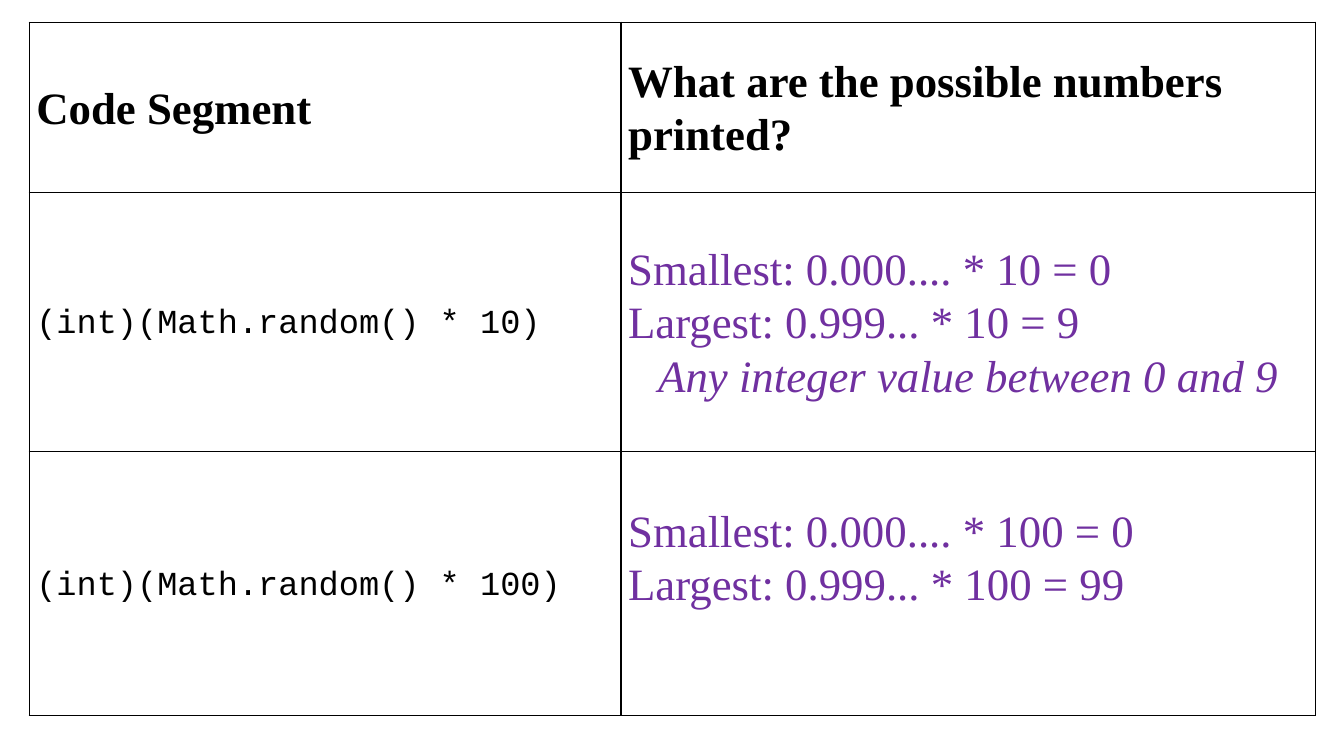
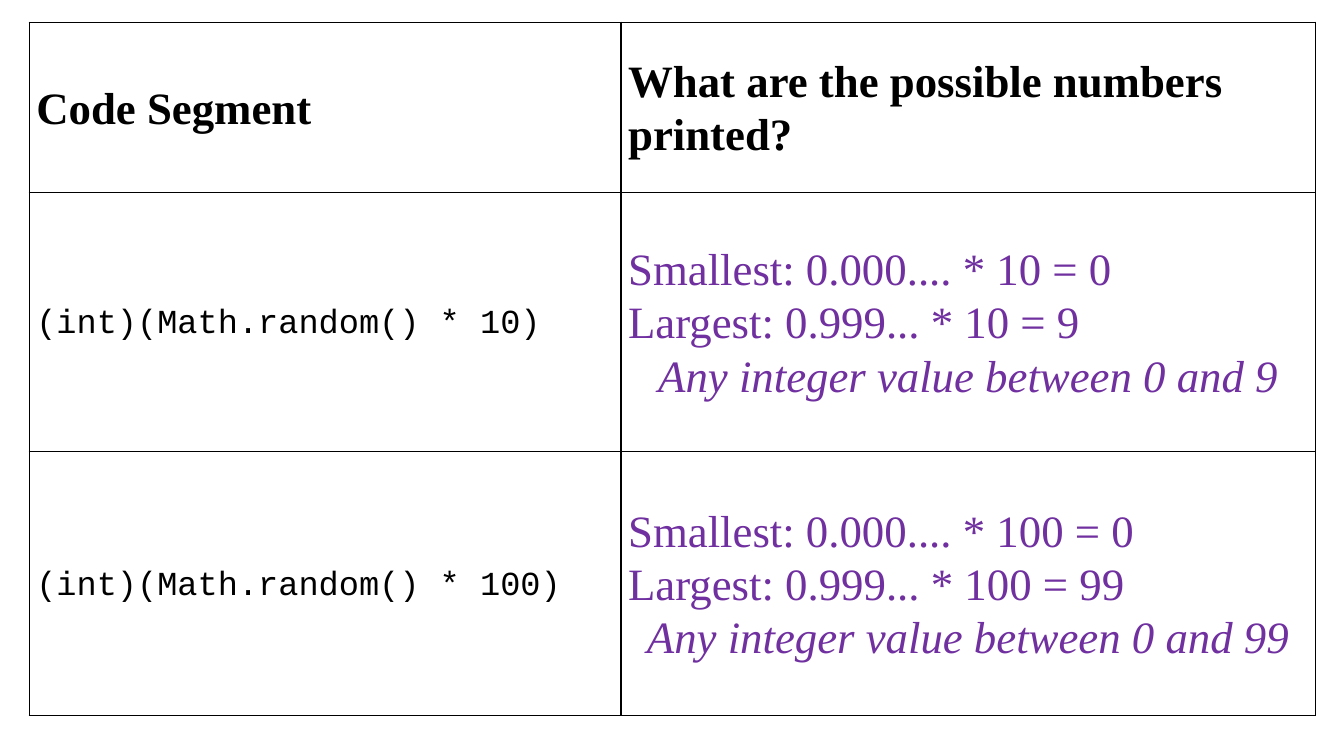
from dataclasses import dataclass

from lxml.etree import SubElement
from pptx import Presentation
from pptx.dml.color import RGBColor
from pptx.enum.text import MSO_ANCHOR, PP_ALIGN
from pptx.oxml.ns import qn
from pptx.slide import Slide
from pptx.table import _Cell
from pptx.util import Inches, Pt

# Shared look
BLACK = RGBColor(0x00, 0x00, 0x00)
PURPLE = RGBColor(0x70, 0x30, 0xA0)
WHITE = RGBColor(0xFF, 0xFF, 0xFF)
SERIF = "Times New Roman"
MONOSPACE = "Courier New"

TABLE_LEFT, TABLE_TOP = 0.29, 0.22
COLUMN_WIDTHS = (5.87, 6.89)
ROW_HEIGHTS = (1.69, 2.57, 2.62)
ANSWER_LINE_HEIGHT = 0.53
BORDER_WIDTH = Pt(1)


@dataclass(frozen=True)
class TextStyle:
    font: dict
    color: RGBColor = BLACK
    line_spacing: float = 1.07
    alignment: PP_ALIGN = PP_ALIGN.LEFT


HEADING = TextStyle({"name": SERIF, "size": Pt(32), "bold": True})
CODE = TextStyle({"name": MONOSPACE, "size": Pt(24), "bold": False}, line_spacing=1.15)
ANSWER = TextStyle({"name": SERIF, "size": Pt(32), "bold": False}, PURPLE)
SUMMARY = TextStyle({**ANSWER.font, "italic": True}, PURPLE, alignment=PP_ALIGN.CENTER)


@dataclass(frozen=True)
class Line:
    text: str
    style: TextStyle


@dataclass(frozen=True)
class Question:
    factor: int
    show_summary: bool = True

    def code(self) -> list[Line]:
        return [Line(f"(int)(Math.random() * {self.factor})", CODE)]

    def answer(self) -> list[Line]:
        largest = self.factor - 1
        lines = [
            Line(f"Smallest: 0.000.... * {self.factor} = 0", ANSWER),
            Line(f"Largest: 0.999... * {self.factor} = {largest}", ANSWER),
        ]
        if self.show_summary:
            lines.append(Line(f"Any integer value between 0 and {largest}", SUMMARY))
        return lines


# Table parts
def add_borders(cell: _Cell) -> None:
    properties = cell._tc.get_or_add_tcPr()
    for index, side in enumerate(("lnL", "lnR", "lnT", "lnB")):
        border = SubElement(properties, qn(f"a:{side}"), w=str(BORDER_WIDTH))
        fill = SubElement(border, qn("a:solidFill"))
        SubElement(fill, qn("a:srgbClr"), val=str(BLACK))
        properties.insert(index, border)


def fill_cell(cell: _Cell, lines: list[Line], reserved: float = 0) -> None:
    """Write the lines, keeping the reserved height free below them."""
    cell_format = {
        "vertical_anchor": MSO_ANCHOR.MIDDLE,
        "margin_left": Inches(0.07),
        "margin_right": Inches(0.07),
        "margin_top": Inches(0),
        "margin_bottom": Inches(reserved),
    }
    for name, value in cell_format.items():
        setattr(cell, name, value)
    cell.fill.solid()
    cell.fill.fore_color.rgb = WHITE
    add_borders(cell)

    for index, line in enumerate(lines):
        frame = cell.text_frame
        paragraph = frame.add_paragraph() if index else frame.paragraphs[0]
        paragraph.alignment = line.style.alignment
        paragraph.line_spacing = line.style.line_spacing
        run = paragraph.add_run()
        run.text = line.text
        for name, value in line.style.font.items():
            setattr(run.font, name, value)
        run.font.color.rgb = line.style.color


def add_question_table(slide: Slide, questions: list[Question]) -> None:
    table = slide.shapes.add_table(
        len(ROW_HEIGHTS), len(COLUMN_WIDTHS),
        Inches(TABLE_LEFT), Inches(TABLE_TOP),
        Inches(sum(COLUMN_WIDTHS)), Inches(sum(ROW_HEIGHTS)),
    ).table
    table.horz_banding = False
    for column, width in zip(table.columns, COLUMN_WIDTHS):
        column.width = Inches(width)
    for row, height in zip(table.rows, ROW_HEIGHTS):
        row.height = Inches(height)

    # Heading row
    headings = ("Code Segment", "What are the possible numbers printed?")
    for column_index, heading in enumerate(headings):
        fill_cell(table.cell(0, column_index), [Line(heading, HEADING)])

    # Question rows
    for row_index, question in enumerate(questions, start=1):
        reserved = 0 if question.show_summary else ANSWER_LINE_HEIGHT
        fill_cell(table.cell(row_index, 0), question.code())
        fill_cell(table.cell(row_index, 1), question.answer(), reserved)


def main() -> None:
    presentation = Presentation()
    presentation.slide_width = Inches(13.33)
    presentation.slide_height = Inches(7.5)
    blank_layout = presentation.slide_layouts[6]

    # The second slide reveals the last summary
    for show_last_summary in (False, True):
        slide = presentation.slides.add_slide(blank_layout)
        add_question_table(slide, [Question(10), Question(100, show_last_summary)])

    presentation.save("out.pptx")


if __name__ == "__main__":
    main()
